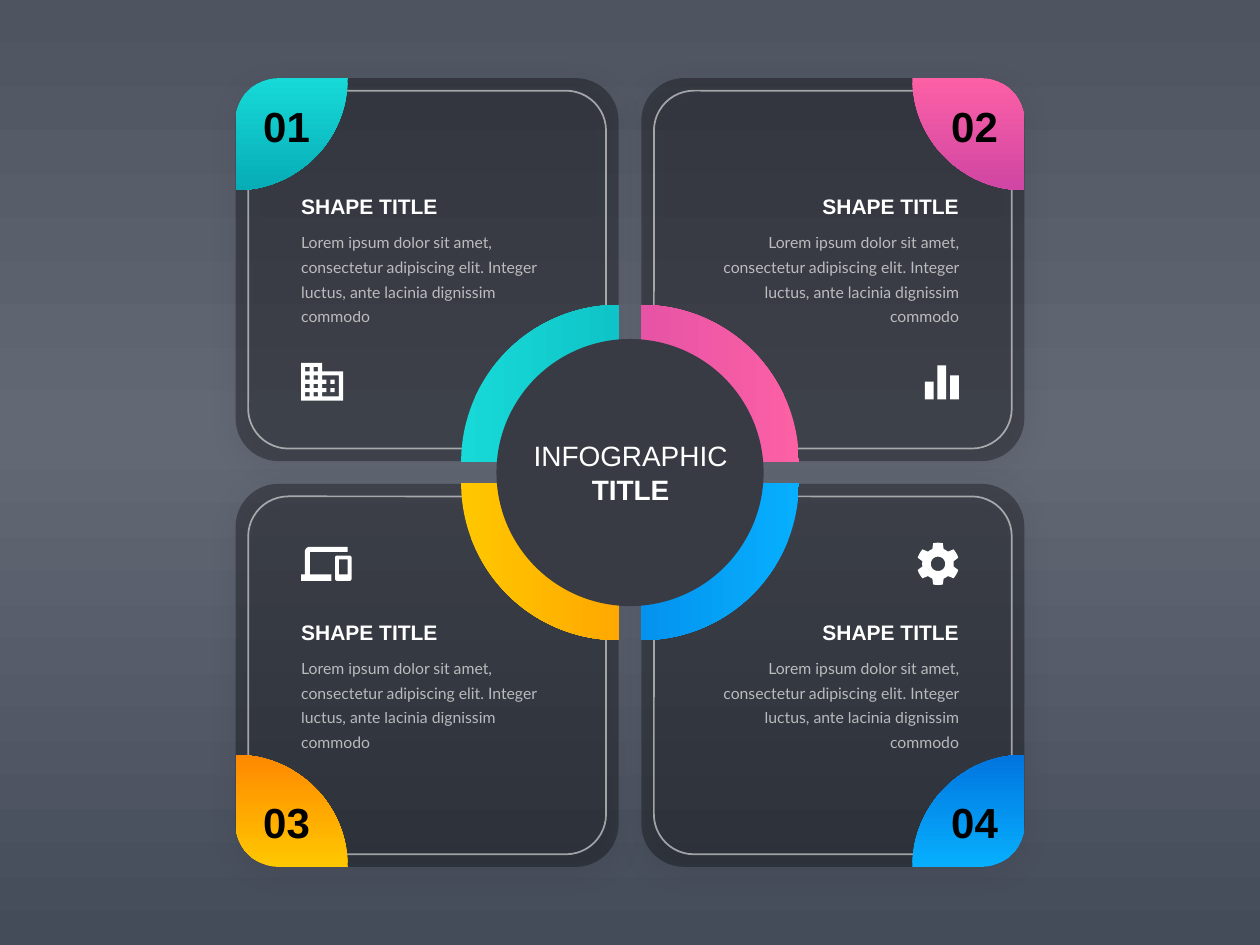
from copy import deepcopy
from math import cos, radians, sin

from lxml.etree import SubElement
from pptx import Presentation
from pptx.dml.color import RGBColor
from pptx.enum.shapes import MSO_SHAPE
from pptx.enum.text import MSO_ANCHOR, PP_ALIGN
from pptx.oxml.ns import qn
from pptx.util import Inches, Pt

WIDE, HIGH = 10, 7.5
WHITE = RGBColor(255, 255, 255)
BLACK = RGBColor(0, 0, 0)
HUB = RGBColor(0x38, 0x3B, 0x43)
BACK = [(0, RGBColor(0x4F, 0x54, 0x61)), (0.46, RGBColor(0x63, 0x68, 0x75)),
        (1, RGBColor(0x45, 0x4C, 0x59))]
TEAL = [(0, RGBColor(0x17, 0xD9, 0xD8)), (1, RGBColor(0x06, 0xAD, 0xB6))]
PINK = [(0, RGBColor(0xFC, 0x60, 0xA5)), (1, RGBColor(0xD0, 0x46, 0xA4))]
GOLD = [(0, RGBColor(0xFF, 0xC7, 0x00)), (1, RGBColor(0xFF, 0x89, 0x01))]
BLUE = [(0, RGBColor(0x07, 0xAF, 0xFE)), (1, RGBColor(0x00, 0x75, 0xDF))]

HEAD = "SHAPE TITLE"
BODY = ("Lorem ipsum dolor sit amet, consectetur adipiscing elit. "
        "Integer luctus, ante lacinia dignissim commodo")


def arc(x, y, r, start, end, steps=12):
    """Points on a circle; angles in degrees, clockwise from the right."""
    turns = [radians(start + (end - start) * i / steps) for i in range(steps + 1)]
    return [(x + r * cos(t), y + r * sin(t)) for t in turns]


def rect(x, y, right, low):
    return [(x, y), (right, y), (right, low), (x, low)]


def office():
    wall = [(5, 2), (5, 0), (0, 0), (0, 9), (10, 9), (10, 2)]
    wing = [(9, 8), (5, 8), (5, 7), (6, 7), (6, 6), (5, 6), (5, 5),
            (6, 5), (6, 4), (5, 4), (5, 3), (9, 3)]
    panes = [(x, y) for x in (1, 3) for y in (1, 3, 5, 7)] + [(7, 4), (7, 6)]
    loops = [wall, wing] + [rect(x, y, x + 1, y + 1) for x, y in panes]
    return [[(x / 30, y / 30) for x, y in loop] for loop in loops]


def bars():
    return [rect(x, top, x + 0.07, 0.27) for x, top in ((0, 0.13), (0.1, 0), (0.2, 0.08))]


def screens():
    laptop = [(0.07, 0.04), (0.37, 0.04), (0.37, 0)] + arc(0.07, 0.04, 0.04, 270, 180) + [
        (0.03, 0.22), (0, 0.22), (0, 0.27), (0.24, 0.27), (0.24, 0.22), (0.07, 0.22)]
    ends = [(0.285, 0.085, 180), (0.385, 0.085, 270), (0.385, 0.255, 0), (0.285, 0.255, 90)]
    phone = [p for x, y, a in ends for p in arc(x, y, 0.015, a, a + 90)]
    return [laptop, phone, rect(0.3, 0.1, 0.37, 0.22)]


def gear():
    x, y = 0.16, 0.165
    rim = []
    for mid in range(30, 390, 60):
        rim += arc(x, y, 0.125, mid - 21, mid - 21, 1)
        rim += arc(x, y, 0.168, mid - 13, mid + 13, 4)
        rim += arc(x, y, 0.125, mid + 21, mid + 39, 4)
    return [rim, arc(x, y, 0.057, 0, 360, 36)]


# number, right side, lower row, colours, icon loops, icon left and top
CARDS = [
    ("01", False, False, TEAL, office(), 2.39, 2.88),
    ("02", True, False, PINK, bars(), 7.34, 2.9),
    ("03", False, True, GOLD, screens(), 2.39, 4.34),
    ("04", True, True, BLUE, gear(), 7.285, 4.31),
]

deck = Presentation()
deck.slide_width, deck.slide_height = Inches(WIDE), Inches(HIGH)
slide = deck.slides.add_slide(deck.slide_layouts[6])
shapes = slide.shapes


def shade(part, fill, stops, angle):
    fill.gradient()
    fill.gradient_angle = angle
    rows = part._element.find(".//" + qn("a:gsLst"))
    while len(rows) < len(stops):
        rows.append(deepcopy(rows[-1]))
    for stop, (place, color) in zip(fill.gradient_stops, stops):
        stop.position, stop.color.rgb = place, color


def fade(node, share):
    """Make the solid colour inside an XML node partly transparent."""
    color = node.find(".//" + qn("a:srgbClr"))
    SubElement(color, qn("a:alpha")).set("val", str(share * 1000))


def add(kind, x, y, w, h, color=None):
    shape = shapes.add_shape(kind, Inches(x), Inches(y), Inches(w), Inches(h))
    shape.line.fill.background()
    shape.shadow.inherit = False
    if color is None:
        shape.fill.background()
    else:
        shape.fill.solid()
        shape.fill.fore_color.rgb = color
    return shape


def trace(loops, x, y):
    """Draw closed loops, in inches from x and y, as one outline."""
    mils = [[((x + a) * 1000, (y + b) * 1000) for a, b in loop] for loop in loops]
    pen = shapes.build_freeform(*mils[0][0], scale=914.4)
    for i, loop in enumerate(mils):
        if i:
            pen.move_to(*loop[0])
        pen.add_line_segments(loop[1:], close=True)
    shape = pen.convert_to_shape()
    shape.line.fill.background()
    shape.shadow.inherit = False
    return shape


def write(runs, x, y, w, h, size, align, color=WHITE, name="Arial",
          anchor=MSO_ANCHOR.MIDDLE, space=None, share=None):
    box = shapes.add_textbox(Inches(x), Inches(y), Inches(w), Inches(h))
    frame = box.text_frame
    frame.word_wrap, frame.vertical_anchor = True, anchor
    frame.margin_left = frame.margin_right = frame.margin_top = frame.margin_bottom = 0
    para = frame.paragraphs[0]
    para.alignment, para.line_spacing = align, space
    for text, bold in runs:
        run = para.add_run()
        run.text = text
        font = run.font
        font.name, font.size, font.bold = name, Pt(size), bold
        font.color.rgb = color
        if share:
            fade(run._r, share)


def place(x, y, w, h, right, low):
    """Mirror a box of the top left card about the slide's centre."""
    return WIDE - x - w if right else x, HIGH - y - h if low else y, w, h


shade(slide, slide.background.fill, BACK, 270)

for _, right, low, *_ in CARDS:
    panel = add(MSO_SHAPE.ROUNDED_RECTANGLE, *place(1.87, 0.62, 3.04, 3.04, right, low), BLACK)
    panel.adjustments[0] = 0.112
    props = panel._element.spPr
    fade(props, 33)
    glow = SubElement(props.find(qn("a:effectLst")), qn("a:outerShdw"),
                      blurRad=str(Pt(16)), dist=str(Pt(3)), dir="5400000", rotWithShape="0")
    SubElement(glow, qn("a:srgbClr"), val="000000")
    fade(glow, 20)

for number, right, low, tones, icon, x, y in CARDS:
    side = PP_ALIGN.RIGHT if right else PP_ALIGN.LEFT
    left = 5.62 if right else 2.39
    top = 4.92 if low else 1.54
    write([(BODY, False)], left, top + 0.265, 1.99, 0.77, 9, side, name="Lato",
          anchor=MSO_ANCHOR.TOP, space=1.3, share=65)
    write([(HEAD, True)], left, top, 1.99, 0.2, 12, side)
    mark = trace(icon, x, y)
    mark.fill.solid()
    mark.fill.fore_color.rgb = WHITE

    border = add(MSO_SHAPE.ROUNDED_RECTANGLE, *place(1.97, 0.72, 2.84, 2.84, right, low))
    border.adjustments[0] = 0.112
    border.line.color.rgb, border.line.width = WHITE, Pt(1)
    fade(border.line._get_or_add_ln(), 55)

    petal = arc(0, 0, 0.89, 0, 90, 24) + arc(0.34, 0.34, 0.34, 180, 270)
    flip = [(-a if right else a, -b if low else b) for a, b in petal]
    corner = trace([flip], *place(1.87, 0.62, 0, 0, right, low)[:2])
    shade(corner, corner.fill, tones, 90 if low else 270)
    write([(number, True)], 7.42 if right else 1.96, 6.29 if low else 0.76,
          0.63, 0.47, 24, PP_ALIGN.CENTER, BLACK)

for _, right, low, tones, *_ in CARDS:
    ring = add(MSO_SHAPE.BLOCK_ARC, *place(3.66, 2.42, 2.49, 2.49, right, low))
    for i, value in enumerate((108, 162.1, 0.13)):
        ring.adjustments[i] = value
    shade(ring, ring.fill, tones, 0)
    frame = ring._element.spPr.find(qn("a:xfrm"))
    frame.set("flipH", str(int(right)))
    frame.set("flipV", str(int(low)))

add(MSO_SHAPE.OVAL, 3.94, 2.69, 2.12, 2.12, HUB)
write([("INFOGRAPHIC", False), (" TITLE", True)], 3.96, 3.43, 2.09, 0.64, 16, PP_ALIGN.CENTER)

deck.save("out.pptx")
